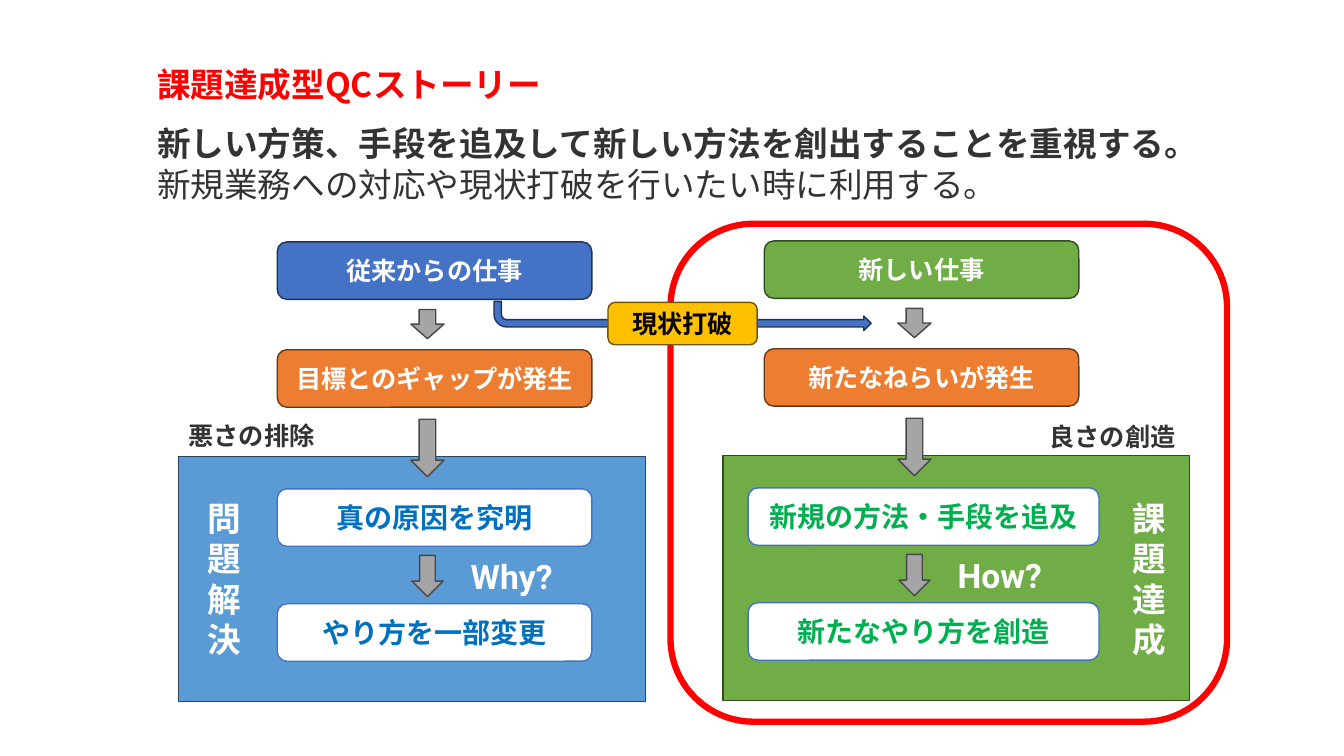
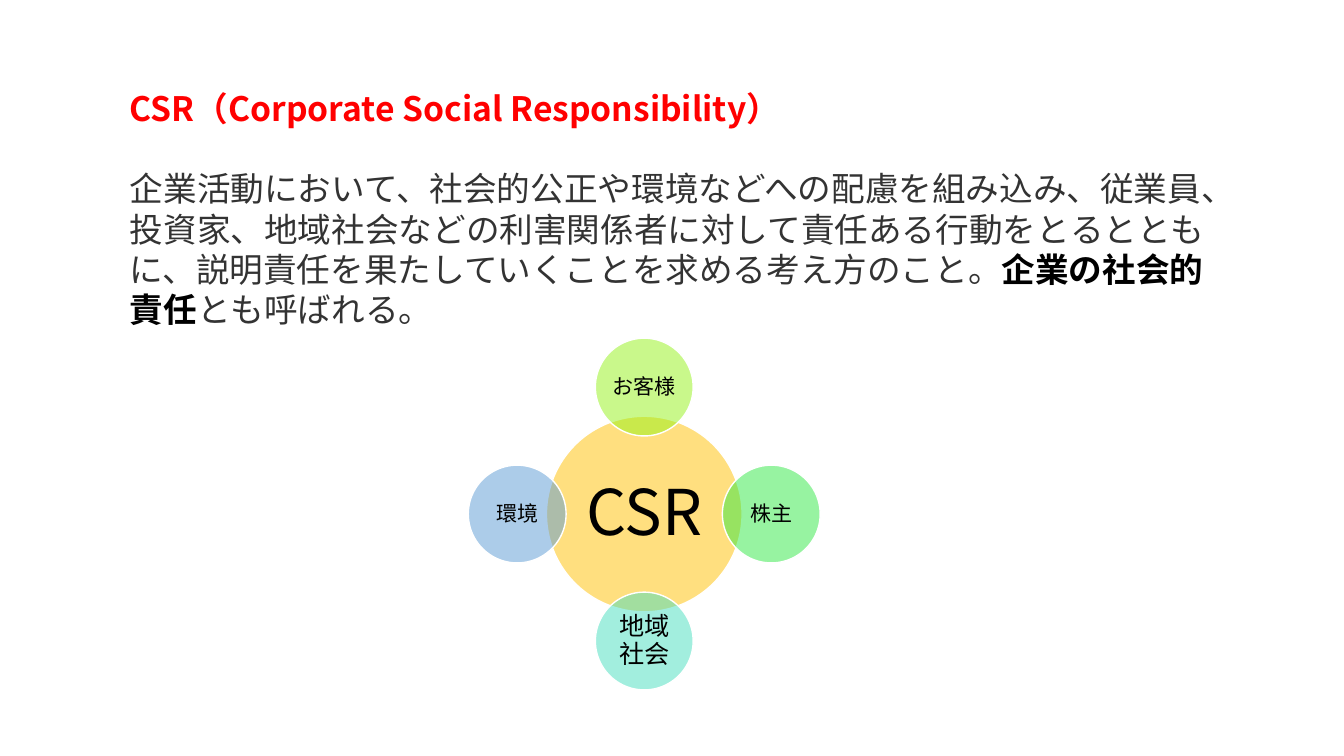
from dataclasses import dataclass
from math import cos, radians, sin

from lxml.etree import SubElement
from pptx import Presentation
from pptx.dml.color import RGBColor
from pptx.enum.shapes import MSO_SHAPE as Preset
from pptx.enum.text import MSO_ANCHOR as Anchor, PP_ALIGN as Align
from pptx.oxml.ns import qn
from pptx.util import Inches, Pt

BLACK = RGBColor(0x00, 0x00, 0x00)
WHITE = RGBColor(0xFF, 0xFF, 0xFF)
RED = RGBColor(0xFF, 0x00, 0x00)
DARK_GRAY = RGBColor(0x33, 0x33, 0x33)
GRAY = RGBColor(0xA5, 0xA5, 0xA5)
GRAY_EDGE = RGBColor(0x48, 0x48, 0x48)
BLUE = RGBColor(0x44, 0x72, 0xC4)
BLUE_EDGE = RGBColor(0x1E, 0x32, 0x56)
SKY = RGBColor(0x5B, 0x9B, 0xD5)
SKY_EDGE = RGBColor(0x28, 0x44, 0x5D)
SKY_TEXT = RGBColor(0x00, 0x70, 0xC0)
GREEN = RGBColor(0x70, 0xAD, 0x47)
GREEN_EDGE = RGBColor(0x31, 0x4C, 0x1F)
GREEN_TEXT = RGBColor(0x00, 0xB0, 0x50)
ORANGE = RGBColor(0xED, 0x7D, 0x31)
ORANGE_EDGE = RGBColor(0x68, 0x37, 0x15)
GOLD = RGBColor(0xFF, 0xC0, 0x00)
GOLD_EDGE = RGBColor(0x70, 0x54, 0x00)
LIME = RGBColor(0x94, 0xF3, 0x19)
BRIGHT_GREEN = RGBColor(0x30, 0xE8, 0x45)
TURQUOISE = RGBColor(0x46, 0xDE, 0xBF)

JAPANESE_FONT = "Noto Sans CJK JP"
LATIN_FONT = "Roboto"
BOX_HEIGHT = 0.57
PANEL_WIDTH = 4.63
PANEL_HEIGHT = 2.43


@dataclass
class Column:
    center: float
    top: float
    panel_left: float
    work: str
    work_fill: RGBColor
    work_edge: RGBColor
    trigger: str
    panel_fill: RGBColor
    panel_edge: RGBColor
    steps: tuple
    step_color: RGBColor
    step_center: float
    step_width: float
    name: str
    name_left: float
    aim: str
    aim_left: float
    aim_top: float
    question: str


COLUMNS = (
    Column(4.31, 2.4, 1.77, "従来からの仕事", BLUE, BLUE_EDGE,
           "目標とのギャップが発生", SKY, SKY_EDGE,
           ("真の原因を究明", "やり方を一部変更"), SKY_TEXT, 4.31, 3.12,
           "問題解決", 1.96, "悪さの排除", 1.77, 4.12, "Why?"),
    Column(9.14, 2.39, 7.17, "新しい仕事", GREEN, GREEN_EDGE,
           "新たなねらいが発生", GREEN, GREEN_EDGE,
           ("新規の方法・手段を追及", "新たなやり方を創造"), GREEN_TEXT, 9.16, 3.48,
           "課題達成", 11.13, "良さの創造", 10.31, 4.13, "How?"),
)

STAKEHOLDERS = (
    ("お客様", LIME, 15),
    ("株主", BRIGHT_GREEN, 15),
    ("地域社会", TURQUOISE, 18),
    ("環境", SKY, 15),
)


def add_text(paragraph, text, size=24, color=WHITE, bold=True,
             font=JAPANESE_FONT, leading=1.2):
    paragraph.line_spacing = Pt(round(size * leading, 1))
    run = paragraph.add_run()
    run.text = text
    run.font.size = Pt(size)
    run.font.bold = bold
    run.font.color.rgb = color
    run.font.name = font
    east_asian = SubElement(run.font._element, qn("a:ea"))
    east_asian.set("typeface", JAPANESE_FONT)


def add_text_box(slide, left, top, width, height):
    frame = slide.shapes.add_textbox(
        Inches(left), Inches(top), Inches(width), Inches(height)).text_frame
    frame.word_wrap = True
    return frame


def add_label(slide, text, left, top, width, height, **text_format):
    frame = add_text_box(slide, left, top, width, height)
    add_text(frame.paragraphs[0], text, **text_format)


def add_heading(slide, title, body, left, top, width, height, gap):
    frame = add_text_box(slide, left, top, width, height)
    add_text(frame.paragraphs[0], title, color=RED)
    paragraph = frame.add_paragraph()
    paragraph.space_before = Pt(gap)
    for text, text_format in body:
        add_text(paragraph, text, **text_format)


def add_preset(slide, preset, left, top, width, height, fill, line, line_width=1):
    shape = slide.shapes.add_shape(
        preset, Inches(left), Inches(top), Inches(width), Inches(height))
    shape.shadow.inherit = False
    if fill is None:
        shape.fill.background()
    else:
        shape.fill.solid()
        shape.fill.fore_color.rgb = fill
    shape.line.color.rgb = line
    shape.line.width = Pt(line_width)
    return shape


def center_text(shape, text, **text_format):
    frame = shape.text_frame
    frame.word_wrap = True
    frame.vertical_anchor = Anchor.MIDDLE
    frame.paragraphs[0].alignment = Align.CENTER
    add_text(frame.paragraphs[0], text, **text_format)


def add_box(slide, text, center, top, width, fill, line, height=BOX_HEIGHT,
            **text_format):
    box = add_preset(slide, Preset.ROUNDED_RECTANGLE, center - width / 2, top,
                     width, height, fill, line)
    center_text(box, text, **text_format)


def add_down_arrow(slide, center, top, width, height):
    add_preset(slide, Preset.DOWN_ARROW, center - width / 2, top, width, height,
               GRAY, GRAY_EDGE)


def add_circle(slide, text, center_x, center_y, diameter, fill, size, inset):
    circle = add_preset(slide, Preset.OVAL, center_x - diameter / 2,
                        center_y - diameter / 2, diameter, diameter, fill, WHITE)
    color = circle.element.spPr.find(qn("a:solidFill")).find(qn("a:srgbClr"))
    SubElement(color, qn("a:alpha")).set("val", "50000")
    frame = circle.text_frame
    frame.margin_left = frame.margin_right = Inches(inset)
    frame.margin_top = frame.margin_bottom = Inches(inset)
    center_text(circle, text, size=size, color=BLACK, bold=False, leading=1.08)


def add_column(slide, column):
    top = column.top
    add_box(slide, column.work, column.center, top, 3.12,
            column.work_fill, column.work_edge, size=18)
    add_box(slide, column.trigger, column.center, top + 1.07, 3.12,
            ORANGE, ORANGE_EDGE, size=18)
    add_preset(slide, Preset.RECTANGLE, column.panel_left, top + 2.13,
               PANEL_WIDTH, PANEL_HEIGHT, column.panel_fill, column.panel_edge)
    for index, step in enumerate(column.steps):
        add_box(slide, step, column.step_center, top + 2.45 + 1.14 * index,
                column.step_width, WHITE, BLUE, size=20, color=column.step_color)
    add_label(slide, column.name, column.name_left, 4.89, 0.54, 1.72)
    for offset, width, height in ((0.67, 0.33, 0.29), (1.76, 0.33, 0.57),
                                  (3.11, 0.31, 0.41)):
        add_down_arrow(slide, column.center - 0.07, top + offset, width, height)
    add_label(slide, column.aim, column.aim_left, column.aim_top, 1.65, 0.4,
              size=18, color=DARK_GRAY, font=LATIN_FONT)
    add_label(slide, column.question, column.center + 0.26, top + 3.07, 1.65, 0.5,
              font=LATIN_FONT)


def build_qc_story(slide):
    body = (
        ("新しい方策、手段を追及して新しい方法を創出することを重視する。",
         {"color": DARK_GRAY, "font": LATIN_FONT}),
        ("新規業務への対応や現状打破を行いたい時に利用する。",
         {"color": DARK_GRAY, "font": LATIN_FONT, "bold": False}),
    )
    add_heading(slide, "課題達成型QCストーリー", body, 1.46, 0.58, 10.82, 1.51, 14)
    add_preset(slide, Preset.ROUNDED_RECTANGLE, 6.65, 2.22, 5.52, 4.94,
               None, RED, 4.5)
    for column in COLUMNS:
        add_column(slide, column)
    breakthrough = add_preset(slide, Preset.BENT_ARROW, 4.9, 2.99, 3.74, 0.29,
                              BLUE, BLUE_EDGE)
    breakthrough.element.spPr.find(qn("a:xfrm")).set("flipV", "1")
    add_box(slide, "現状打破", 6.77, 3, 1.48, GOLD, GOLD_EDGE, height=0.42,
            size=18, color=BLACK)


def build_csr(slide):
    body = (
        ("企業活動において、社会的公正や環境などへの配慮を組み込み、従業員、"
         "投資家、地域社会などの利害関係者に対して責任ある行動をとるとともに、"
         "説明責任を果たしていくことを求める考え方のこと。",
         {"color": DARK_GRAY, "bold": False}),
        ("企業の社会的責任", {"color": BLACK}),
        ("とも呼ばれる。", {"color": DARK_GRAY, "bold": False}),
    )
    add_heading(slide, "CSR（Corporate Social Responsibility）", body,
                1.19, 0.82, 10.95, 2.52, 28.8)
    center_x, center_y, orbit = 6.39, 5.1, 1.26
    add_circle(slide, "CSR", center_x, center_y, 1.94, GOLD, 45, 0.06)
    for index, (name, fill, size) in enumerate(STAKEHOLDERS):
        angle = radians(360 / len(STAKEHOLDERS) * index - 90)
        add_circle(slide, name, center_x + orbit * cos(angle),
                   center_y + orbit * sin(angle), 0.97, fill, size, 0.02)


def main():
    presentation = Presentation()
    presentation.slide_width = Inches(13.33)
    presentation.slide_height = Inches(7.5)
    blank = presentation.slide_layouts[6]
    for build in (build_qc_story, build_csr):
        build(presentation.slides.add_slide(blank))
    presentation.save("out.pptx")


if __name__ == "__main__":
    main()
